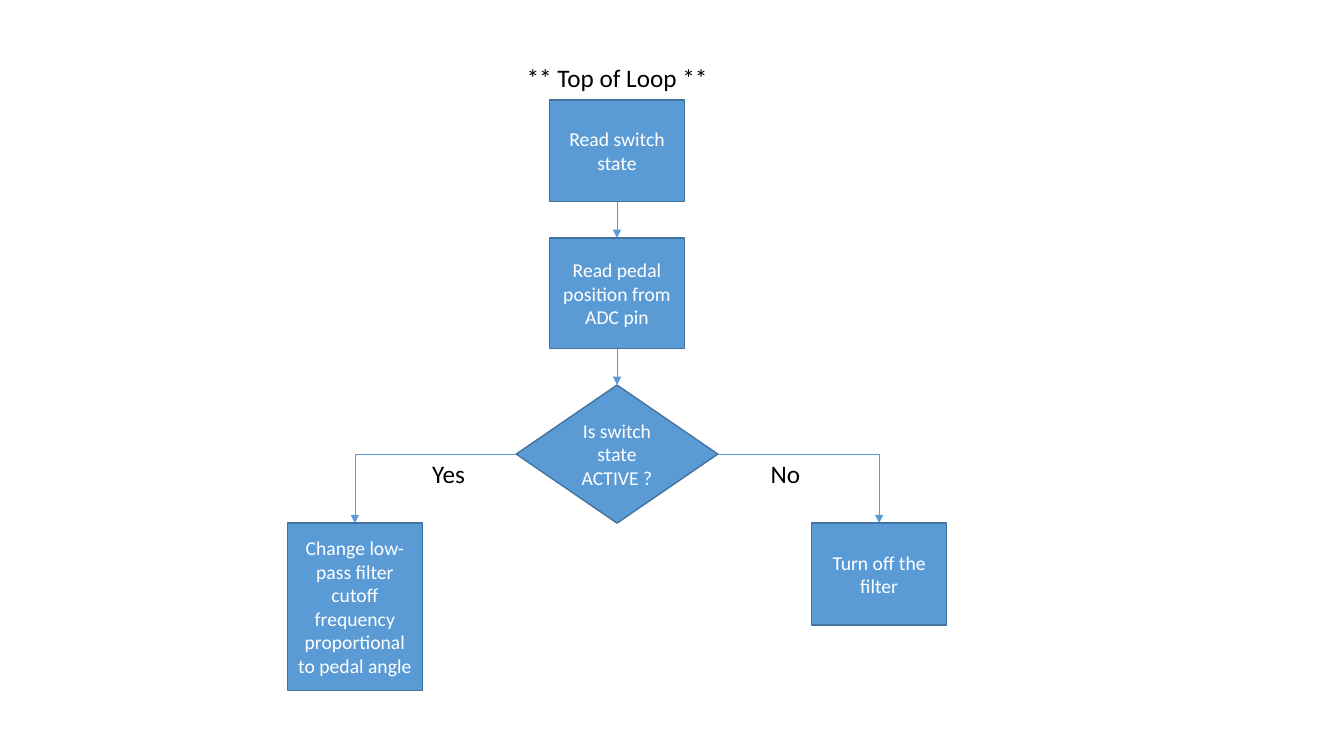
from dataclasses import dataclass

from lxml import etree
from pptx import Presentation
from pptx.dml.color import RGBColor
from pptx.enum.shapes import MSO_CONNECTOR, MSO_SHAPE
from pptx.enum.text import MSO_ANCHOR, MSO_AUTO_SIZE, PP_ALIGN
from pptx.oxml.ns import qn
from pptx.util import Inches, Pt

RECTANGLE, DIAMOND = MSO_SHAPE.RECTANGLE, MSO_SHAPE.DIAMOND
STRAIGHT = MSO_CONNECTOR.STRAIGHT
CENTER, TOP, MIDDLE = PP_ALIGN.CENTER, MSO_ANCHOR.TOP, MSO_ANCHOR.MIDDLE
FIT_SHAPE, NO_FIT = MSO_AUTO_SIZE.SHAPE_TO_FIT_TEXT, MSO_AUTO_SIZE.NONE
TITLE_ONLY = 5
SITE_TOP, SITE_LEFT, SITE_BOTTOM, SITE_RIGHT = range(4)


@dataclass(frozen=True)
class Theme:
    font: str = "Calibri"
    accent: RGBColor = RGBColor(0x5B, 0x9B, 0xD5)
    outline: RGBColor = RGBColor(0x43, 0x73, 0x9E)
    on_accent: RGBColor = RGBColor(0xFF, 0xFF, 0xFF)
    ink: RGBColor = RGBColor(0, 0, 0)
    step_size: int = 14
    label_size: int = 18
    outline_width: float = 1
    arrow_width: float = 0.5


@dataclass(frozen=True)
class Box:
    left: float
    top: float
    width: float
    height: float

    @property
    def center(self):
        return self.left + self.width / 2


THEME = Theme()
STEP_WIDTH = 13.4
STEP_HEIGHT = 10.1
STEP_GAP = 3.6
HEADING_ROWS = 4.2
LABEL_HEIGHT = 4
ANSWER_WIDTH = 6
ANSWER_RISE = 6.9


def cells(count):
    return Inches(count / 10)


def place(shape, box):
    shape.left, shape.top = cells(box.left), cells(box.top)
    shape.width, shape.height = cells(box.width), cells(box.height)


def write(shape, wording, size, color, anchor, wrap, fit):
    frame = shape.text_frame
    frame.text = wording
    frame.word_wrap, frame.vertical_anchor, frame.auto_size = wrap, anchor, fit
    paragraph = frame.paragraphs[0]
    paragraph.alignment = CENTER
    paragraph.font.name, paragraph.font.size = THEME.font, Pt(size)
    paragraph.font.color.rgb = color


def add_label(slide, wording, box):
    label = slide.shapes.add_textbox(0, 0, 0, 0)
    place(label, box)
    write(label, wording, THEME.label_size, THEME.ink, TOP, False, FIT_SHAPE)


def add_step(slide, wording, box, outline=RECTANGLE):
    step = slide.shapes.add_shape(outline, 0, 0, 0, 0)
    place(step, box)
    step.shadow.inherit = False
    step.fill.solid()
    step.fill.fore_color.rgb = THEME.accent
    step.line.color.rgb = THEME.outline
    step.line.width = Pt(THEME.outline_width)
    write(step, wording, THEME.step_size, THEME.on_accent, MIDDLE, True, NO_FIT)
    return step


def add_line(slide, start=(0, 0), end=(0, 0), arrow=False):
    line = slide.shapes.add_connector(STRAIGHT, *start, *end)
    line.line.color.rgb = THEME.accent
    line.line.width = Pt(THEME.arrow_width)
    properties = line._element.spPr
    if arrow:
        etree.SubElement(properties.find(qn("a:ln")), qn("a:tailEnd"), type="triangle")
    etree.SubElement(properties, qn("a:effectLst"))
    return line


def add_loop_spine(slide, box):
    heading = slide.shapes.title
    place(heading, Box(box.left, box.top, box.width, LABEL_HEIGHT))
    write(heading, "** Top of Loop **", THEME.label_size, THEME.ink, TOP, False, NO_FIT)

    stages = [
        ("Read switch state", RECTANGLE, STEP_WIDTH, STEP_HEIGHT),
        ("Read pedal position from ADC pin", RECTANGLE, STEP_WIDTH, 11),
        ("Is switch state ACTIVE ?", DIAMOND, box.width, 13.7),
    ]
    top = box.top + HEADING_ROWS
    previous = None
    for wording, outline, width, height in stages:
        step_box = Box(box.center - width / 2, top, width, height)
        step = add_step(slide, wording, step_box, outline)
        if previous:
            arrow = add_line(slide, arrow=True)
            arrow.begin_connect(previous, SITE_BOTTOM)
            arrow.end_connect(step, SITE_TOP)
        previous = step
        top += height + STEP_GAP
    return previous


def add_branch(slide, box, decision, site, answer, answer_shift, outcome):
    step = add_step(slide, outcome, box)
    level = decision.top + decision.height // 2
    corner = (cells(box.center), level)
    side = add_line(slide, end=corner)
    side.begin_connect(decision, site)
    drop = add_line(slide, start=corner, arrow=True)
    drop.end_connect(step, SITE_TOP)
    answer_left = box.center + answer_shift - ANSWER_WIDTH / 2
    answer_top = box.top - ANSWER_RISE
    add_label(slide, answer, Box(answer_left, answer_top, ANSWER_WIDTH, LABEL_HEIGHT))


def main():
    deck = Presentation()
    deck.slide_width, deck.slide_height = Inches(13.33), Inches(7.5)
    slide = deck.slides.add_slide(deck.slide_layouts[TITLE_ONLY])

    spine = Box(51.2, 5.7, 20, 46.2)
    decision = add_loop_spine(slide, spine)

    branches = [
        (-1, SITE_LEFT, "Yes", 16.6,
         "Change low-pass filter cutoff frequency proportional to pedal angle"),
        (1, SITE_RIGHT, "No", STEP_HEIGHT, "Turn off the filter"),
    ]
    branch_reach, answer_reach = 26, 16.7
    for side, site, answer, height, outcome in branches:
        left = spine.center + side * branch_reach - STEP_WIDTH / 2
        box = Box(left, spine.top + spine.height, STEP_WIDTH, height)
        answer_shift = side * (answer_reach - branch_reach)
        add_branch(slide, box, decision, site, answer, answer_shift, outcome)

    deck.save("out.pptx")


main()
